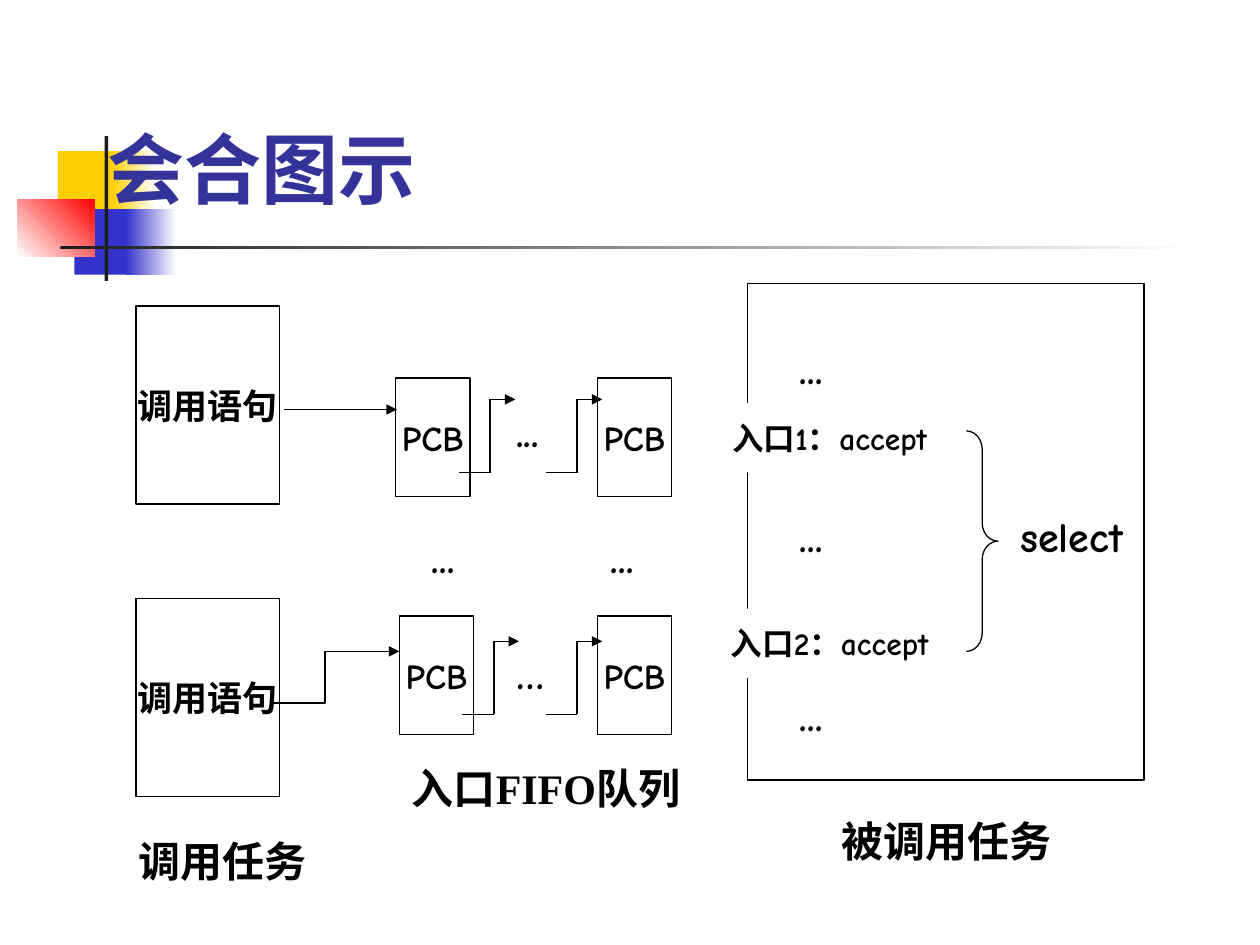
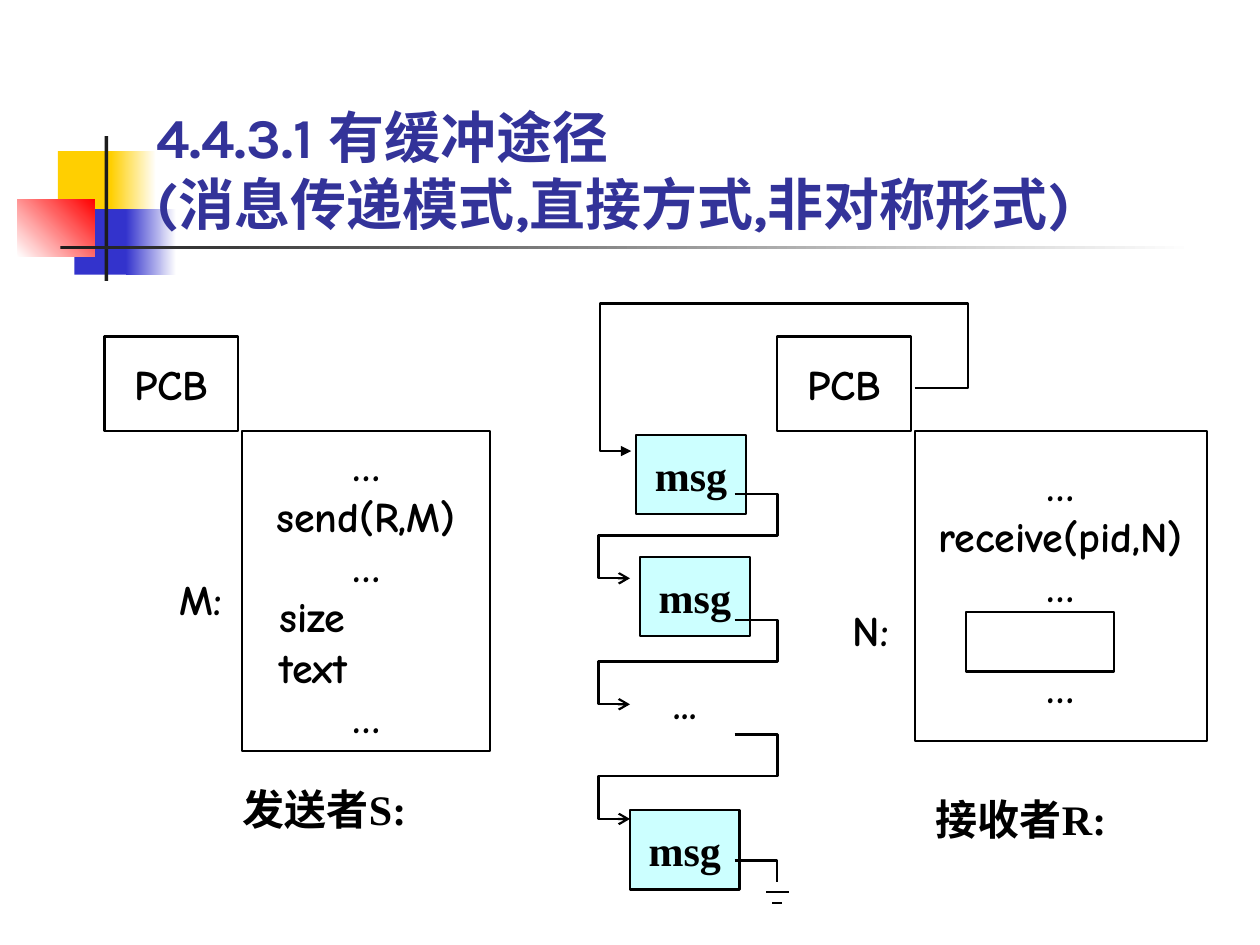
from dataclasses import dataclass
from itertools import pairwise
from typing import NamedTuple

from lxml.etree import SubElement
from pptx import Presentation
from pptx.dml.color import RGBColor
from pptx.enum.shapes import MSO_CONNECTOR, MSO_SHAPE
from pptx.enum.text import MSO_ANCHOR, MSO_AUTO_SIZE, PP_ALIGN
from pptx.oxml.ns import qn
from pptx.util import Inches, Pt


@dataclass(frozen=True)
class Theme:
    white: str = "FFFFFF"
    ink: str = "000000"
    title: str = "333399"
    yellow: str = "FFCF01"
    blue: str = "3333CC"
    red: str = "FF0000"
    rule: str = "1C1C1C"
    message: str = "CCFFFF"
    title_font: str = "Karla"
    code_font: str = "Comic Neue"
    caption_font: str = "Times New Roman"
    large: int = 24
    medium: int = 20
    small: int = 18
    code_line: int = 29
    thin: float = 0.75
    thick: float = 1.25


THEME = Theme()


class Box(NamedTuple):
    left: float
    top: float
    width: float
    height: float

    def inner(self, left, top, width, height):
        return Box(self.left + left, self.top + top, width, height)

    def points(self, *offsets):
        return [(self.left + x, self.top + y) for x, y in offsets]

    def lengths(self):
        return [Inches(round(value, 2)) for value in self]


def color(value):
    return RGBColor.from_string(value)


def style_text(frame, size, font, tint=THEME.ink):
    for para in frame.paragraphs:
        for span in para.runs:
            span.font.size = Pt(size)
            span.font.name = font
            span.font.bold = True
            span.font.color.rgb = color(tint)


def add_panel(page, box, fill=None, weight=None, preset=MSO_SHAPE.RECTANGLE):
    panel = page.shapes.add_shape(preset, *box.lengths())
    panel.shadow.inherit = False
    if fill:
        panel.fill.solid()
        panel.fill.fore_color.rgb = color(fill)
    else:
        panel.fill.background()
    if weight:
        panel.line.color.rgb = color(THEME.ink)
        panel.line.width = Pt(weight)
    else:
        panel.line.fill.background()
    return panel


def add_cell(page, box, text, size=THEME.large, font=THEME.code_font, **look):
    frame = add_panel(page, box, **look).text_frame
    frame.margin_left = frame.margin_right = 0
    frame.word_wrap = False
    frame.vertical_anchor = MSO_ANCHOR.MIDDLE
    frame.text = text
    for para in frame.paragraphs:
        para.alignment = PP_ALIGN.CENTER
    style_text(frame, size, font)
    return frame


def add_label(page, box, text, font=THEME.code_font):
    frame = page.shapes.add_textbox(*box.lengths()).text_frame
    frame.word_wrap = True
    frame.auto_size = MSO_AUTO_SIZE.SHAPE_TO_FIT_TEXT
    frame.text = text
    style_text(frame, THEME.large, font)


def style_line(shape, weight, tail):
    shape.line.color.rgb = color(THEME.ink)
    shape.line.width = Pt(weight)
    if tail:
        outline = shape.element.spPr.find(qn("a:ln"))
        SubElement(outline, qn("a:tailEnd"), type=tail)


def add_segments(page, points, weight=THEME.thin, tail=None):
    for start, end in pairwise(points):
        ends = [Inches(round(value, 2)) for value in (*start, *end)]
        line = page.shapes.add_connector(MSO_CONNECTOR.STRAIGHT, *ends)
        style_line(line, weight, tail if end == points[-1] else None)
        SubElement(line.element.spPr, qn("a:effectLst"))


def add_route(page, points, weight, tail=None):
    start, *rest = [(Inches(round(x, 2)), Inches(round(y, 2))) for x, y in points]
    builder = page.shapes.build_freeform(*start)
    builder.add_line_segments(rest, close=False)
    route = builder.convert_to_shape()
    route.shadow.inherit = False
    route.fill.background()
    style_line(route, weight, tail)


def decorate_layout(page):
    bands = [
        (Box(0.46, 1.2, 0.48, 0.52), THEME.yellow, None, 0),
        (Box(0.88, 1.2, 0.36, 0.52), THEME.yellow, THEME.white, 0),
        (Box(0.59, 1.66, 0.46, 0.52), THEME.blue, None, 0),
        (Box(1, 1.66, 0.4, 0.52), THEME.blue, THEME.white, 0),
        (Box(0.14, 1.58, 0.61, 0.46), THEME.white, THEME.red, 45),
        (Box(0.83, 1.08, 0.03, 1.15), THEME.rule, None, 0),
        (Box(0.48, 1.95, 9, 0.03), THEME.rule, THEME.white, 0),
    ]
    for box, start, end, angle in bands:
        band = add_panel(page, box, fill=start)
        if end:
            band.fill.gradient()
            band.fill.gradient_angle = angle
            for stop, tint in zip(band.fill.gradient_stops, (start, end)):
                stop.color.rgb = color(tint)
        page.slide_layout.shapes.element.append(band.element)


def place_title(page, box, text, size):
    title = page.shapes.title
    title.left, title.top, title.width, title.height = box.lengths()
    frame = title.text_frame
    frame.text = text
    frame.word_wrap = True
    frame.auto_size = MSO_AUTO_SIZE.NONE
    frame.vertical_anchor = MSO_ANCHOR.BOTTOM
    frame.paragraphs[0].alignment = PP_ALIGN.LEFT
    style_text(frame, size, THEME.title_font, THEME.title)


def draw_called_task(page, box):
    add_panel(page, box, weight=THEME.thin)
    add_label(page, box.inner(0.65, 4.17, 2.08, 0.5), "被调用任务", THEME.caption_font)
    for number, top in ((1, 0.95), (2, 2.58)):
        add_cell(page, box.inner(-0.17, top, 1.65, 0.55), f"入口{number}：accept",
                 THEME.small, fill=THEME.white)
    add_label(page, box.inner(2.07, 1.75, 1.17, 0.5), "select")
    brace = add_panel(page, box.inner(1.74, 1.17, 0.25, 1.75), weight=THEME.thin,
                      preset=MSO_SHAPE.RIGHT_BRACE)
    brace.adjustments[0] = 0.58
    brace.adjustments[1] = 0.5
    for top in (0.42, 1.75, 3.17):
        add_label(page, box.inner(0.32, top, 0.83, 0.5), "...")


def draw_queue(page, box, dots, first_left=0, lower=0.75):
    for left in (first_left, 1.6):
        add_cell(page, box.inner(left, 0, 0.59, box.height), "PCB",
                 THEME.medium, weight=THEME.thin)
    upper = lower - 0.58
    for left in (first_left + 0.5, 1.19):
        step = box.points((left, lower), (left + 0.25, lower),
                          (left + 0.25, upper), (left + 0.45, upper))
        add_segments(page, step, tail="triangle")
    add_label(page, box.inner(0.86, upper, 0.5, 0.5), dots)


def draw_calling_tasks(page, box):
    for top in (0, 2.32):
        add_cell(page, box.inner(0, top, box.width, 1.57), "调用语句",
                 THEME.medium, weight=THEME.thin)
    add_label(page, box.inner(-0.08, 4.15, 1.67, 0.5), "调用任务", THEME.caption_font)
    add_segments(page, box.points((1.17, 0.82), (2.07, 0.82)), tail="triangle")
    call = box.points((1.09, 3.15), (1.5, 3.15), (1.5, 2.74), (2.09, 2.74))
    add_route(page, call, THEME.thin, "triangle")


def draw_rendezvous(page):
    place_title(page, Box(0.75, 0.5, 8.5, 1.25), "会合图示", 44)
    draw_called_task(page, Box(5.93, 2.25, 3.15, 3.94))
    draw_queue(page, Box(3.14, 3, 2.19, 0.94), "...")
    draw_queue(page, Box(3.14, 4.89, 2.19, 0.94), "…", 0.03, 0.78)
    for left in (3.33, 4.75):
        add_label(page, Box(left, 4.17, 0.58, 0.5), "...")
    add_label(page, Box(3.17, 6, 2.33, 0.5), "入口FIFO队列", THEME.caption_font)
    draw_calling_tasks(page, Box(1.08, 2.43, 1.14, 3.89))


def draw_process(page, box, code, buffer, buffer_top, caption, caption_at):
    look = {"fill": THEME.white, "weight": THEME.thick}
    add_cell(page, box.inner(0, 0, 1.06, 0.75), "PCB", **look)
    body = box.inner(1.09, 0.75, box.width - 1.09, box.height - 0.75)
    frame = add_cell(page, body, code, **look)
    frame.margin_left = frame.margin_right = Inches(0.1)
    frame.word_wrap = True
    add_label(page, box.inner(0.5, buffer_top, 0.67, 0.5), buffer)
    add_label(page, box.inner(*caption_at, 1.92, 0.5), caption, THEME.caption_font)
    return frame


def draw_sender(page, box):
    frame = draw_process(page, box, "…\nsend(R,M)\n…\nsize\ntext\n…",
                         "M:", 1.83, "发送者S:", (1, 3.5))
    for para in frame.paragraphs[3:5]:
        para.alignment = PP_ALIGN.LEFT
        para._p.get_or_add_pPr().set("marL", str(Inches(0.2)))


def draw_receiver(page, box):
    frame = draw_process(page, box, "…\nreceive(pid,N)\n…\n…",
                         "N:", 2.08, "接收者R:", (1.16, 3.58))
    frame.paragraphs[-1].space_before = Pt(THEME.code_line)
    add_panel(page, box.inner(1.5, 2.19, 1.17, 0.47),
              fill=THEME.white, weight=THEME.thick)


def draw_message_chain(page, box):
    for left, top in ((0.3, 0), (0.33, 0.97), (0.25, 2.98)):
        add_cell(page, box.inner(left, top, 0.87, 0.63), "msg", font=THEME.caption_font,
                 fill=THEME.message, weight=THEME.thick)
    head = box.points((2.51, -0.37), (2.93, -0.37), (2.93, -1.04),
                      (0.01, -1.04), (0.01, 0.13), (0.26, 0.13))
    add_route(page, head, THEME.thick, "triangle")
    right = box.width
    for top in (0.47, 1.47, 2.38):
        link = box.points((1.08, top), (right, top), (right, top + 0.33),
                          (0, top + 0.33), (0, top + 0.67), (0.25, top + 0.67))
        add_route(page, link, THEME.thick, "arrow")
    add_label(page, box.inner(0.5, 1.88, 0.58, 0.5), "...")
    add_route(page, box.points((1.08, 3.38), (right, 3.38), (right, 3.55)), THEME.thick)
    for half, top in ((0.09, 3.63), (0.04, 3.72)):
        add_segments(page, box.points((right - half, top), (right + half, top)), THEME.thick)


def draw_buffered_path(page):
    place_title(page, Box(1.14, 0.68, 8.64, 1.25),
                "4.4.3.1 有缓冲途径\v(消息传递模式,直接方式,非对称形式)", 32)
    draw_sender(page, Box(0.83, 2.67, 3.06, 3.29))
    draw_receiver(page, Box(6.17, 2.67, 3.41, 3.21))
    draw_message_chain(page, Box(4.75, 3.45, 1.42, 3.72))


def main():
    deck = Presentation()
    deck.slide_width, deck.slide_height = Inches(10), Inches(7.5)
    layout = deck.slide_layouts.get_by_name("Title Only")
    pages = [deck.slides.add_slide(layout) for _ in range(2)]
    decorate_layout(pages[0])
    draw_rendezvous(pages[0])
    draw_buffered_path(pages[1])
    deck.save("out.pptx")


if __name__ == "__main__":
    main()
